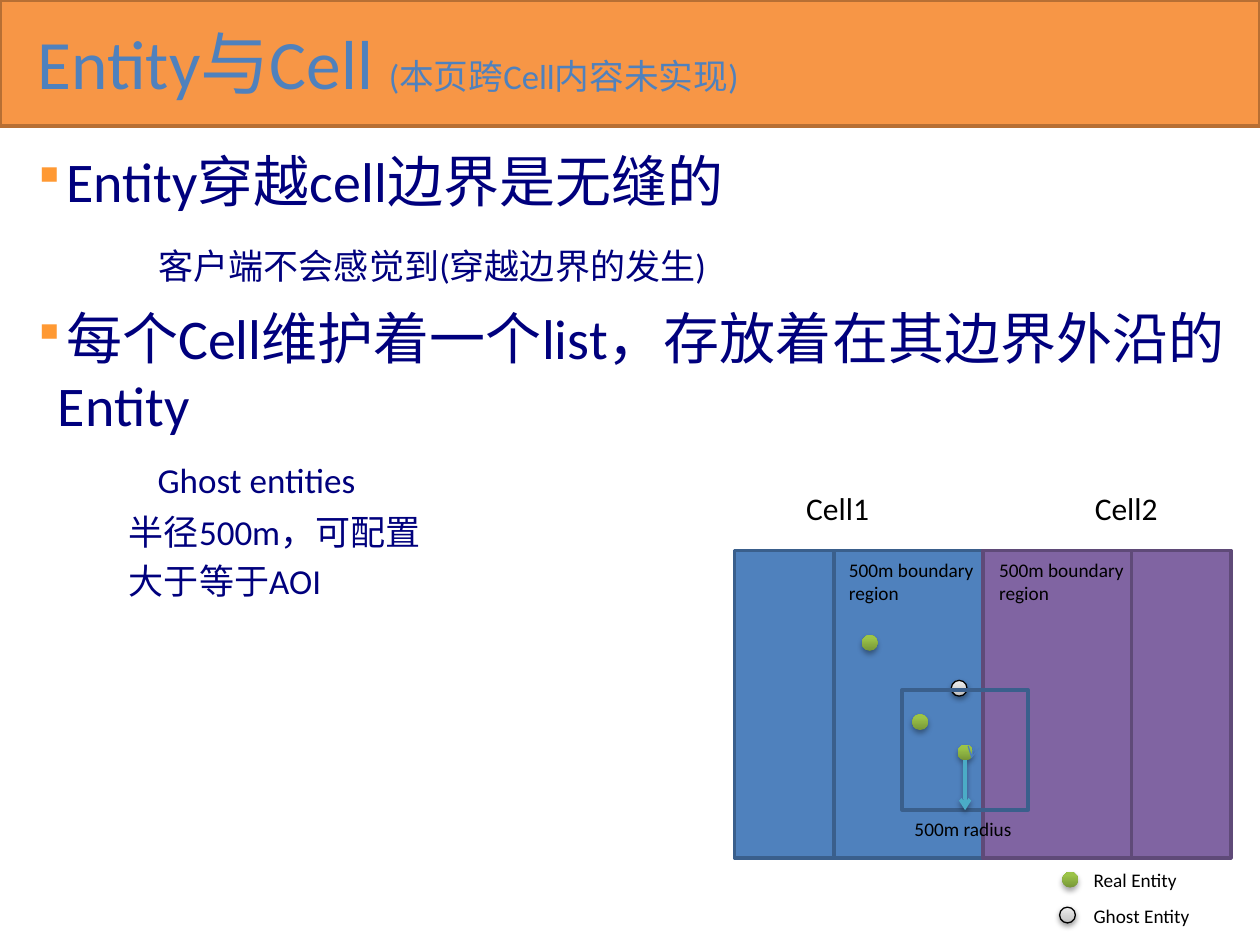
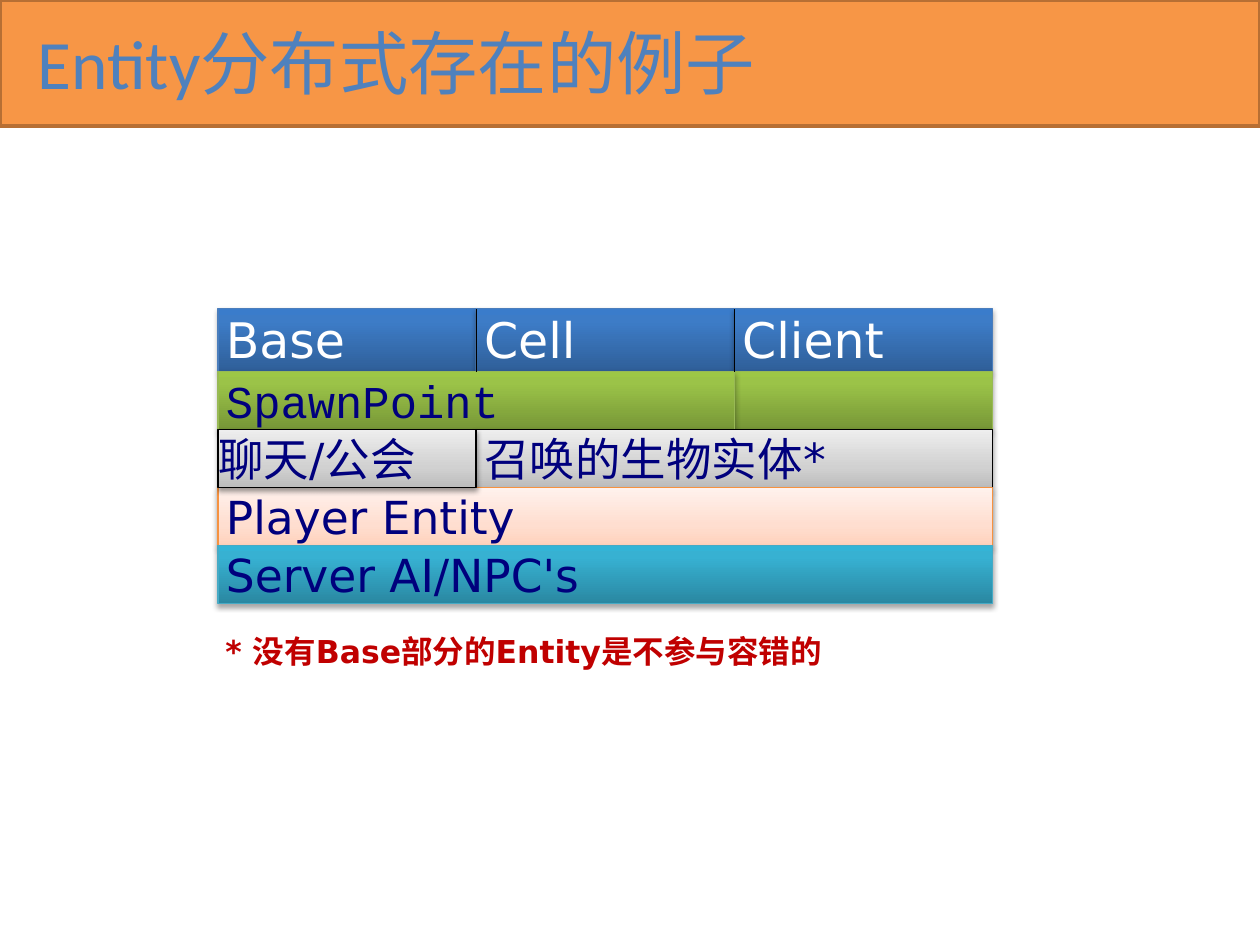
from dataclasses import dataclass
from typing import Optional

from lxml.etree import SubElement
from pptx import Presentation
from pptx.dml.color import RGBColor
from pptx.enum.shapes import MSO_CONNECTOR as Connector, MSO_SHAPE as Shape
from pptx.enum.text import MSO_ANCHOR as Anchor, MSO_AUTO_SIZE as AutoSize, PP_ALIGN as Align
from pptx.oxml.ns import qn
from pptx.util import Pt

ORANGE = RGBColor(0xF7, 0x96, 0x46)
ORANGE_EDGE = RGBColor(0xB7, 0x6F, 0x34)
BULLET_ORANGE = RGBColor(0xFF, 0x99, 0x33)
BLUE = RGBColor(0x4F, 0x81, 0xBD)
BLUE_EDGE = RGBColor(0x3A, 0x5F, 0x8C)
BLUE_LINE = RGBColor(0x4B, 0x7E, 0xBC)
PURPLE = RGBColor(0x80, 0x64, 0xA2)
PURPLE_EDGE = RGBColor(0x5F, 0x4A, 0x78)
TEAL = RGBColor(0x4B, 0xAC, 0xC6)
TEAL_EDGE = RGBColor(0x46, 0xAA, 0xC5)
GREEN_EDGE = RGBColor(0x98, 0xB9, 0x55)
PEACH_EDGE = RGBColor(0xF6, 0x92, 0x40)
NAVY = RGBColor(0x00, 0x00, 0x7D)
RED = RGBColor(0xC0, 0x00, 0x00)
BLACK = RGBColor(0, 0, 0)
WHITE = RGBColor(0xFF, 0xFF, 0xFF)

BODY_FONT = "Calibri"
TABLE_FONT = "DejaVu Sans"
CODE_FONT = "Courier New"


@dataclass(frozen=True)
class Shadow:
    alpha: int
    distance: float


STRONG = Shadow(35, 1.8)
SOFT = Shadow(38, 1.6)


@dataclass(frozen=True)
class Gradient:
    stops: tuple
    edge: Optional[RGBColor]
    shadow: Shadow


BLUE_ROW = Gradient(((0, "2F5F99"), (80, "3D7CC7"), (100, "3A7CCB")), BLUE_LINE, STRONG)
GREEN_STOPS = ((0, "779737"), (80, "9BC348"), (100, "9DC746"))
GREEN_ROW = Gradient(GREEN_STOPS, GREEN_EDGE, STRONG)
REAL = Gradient(GREEN_STOPS, None, STRONG)
GREY = Gradient(((0, "BDBDBD"), (35, "D1D1D1"), (100, "EEEEEE")), BLACK, SOFT)
PEACH_ROW = Gradient(((0, "FFD2BD"), (35, "FFDED0"), (100, "FFF2ED")), PEACH_EDGE, SOFT)
TEAL_ROW = Gradient(((0, "2A88A2"), (80, "37B1D2"), (100, "34B4D6")), TEAL_EDGE, STRONG)


@dataclass(frozen=True)
class Point:
    text: str
    size: float
    before: float
    indent: float
    bullet: bool = False


@dataclass(frozen=True)
class Zone:
    left: float
    width: float
    fill: RGBColor
    edge: RGBColor


@dataclass(frozen=True)
class Cell:
    row: int
    column: int
    span: int
    style: Gradient
    text: str = ""
    font: str = TABLE_FONT
    inset: float = 4.5


POINTS = [
    Point("Entity穿越cell边界是无缝的", 32, 0, 14.4, True),
    Point("客户端不会感觉到(穿越边界的发生)", 20, 17.8, 72),
    Point("每个Cell维护着一个list，存放着在其边界外沿的Entity", 32, 9.5, 14.4, True),
    Point("Ghost entities", 20, 11.7, 71.4),
    Point("半径500m，可配置", 20, 6.1, 55),
    Point("大于等于AOI", 20, 4, 55),
]

MAP_TOP, MAP_HEIGHT = 314.6, 175.7
BORDER_X = 561.6
CELL_WIDTH, REGION_WIDTH = 141.8, 85
ZONES = [
    Zone(BORDER_X - CELL_WIDTH, CELL_WIDTH, BLUE, BLUE_EDGE),
    Zone(BORDER_X - REGION_WIDTH, REGION_WIDTH, BLUE, BLUE_EDGE),
    Zone(BORDER_X, CELL_WIDTH, PURPLE, PURPLE_EDGE),
    Zone(BORDER_X, REGION_WIDTH, PURPLE, PURPLE_EDGE),
]
ENTITIES = [
    (521.3, 408.2, REAL), (547.2, 425.5, REAL), (492.5, 362.9, REAL),
    (607, 498.2, REAL), (605.5, 518.4, GREY), (543.6, 388.8, GREY),
]
LABELS = [
    ("Cell1", 453.6, 275.8, 54, 18),
    ("Cell2", 618.5, 275.8, 54, 18),
    ("500m radius", 515.5, 463.7, 88, 11),
    ("Real Entity", 617.8, 492.5, 94, 11),
    ("Ghost Entity", 617.8, 513.4, 94, 11),
    ("500m boundary region", 478, 315.4, 87, 11),
    ("500m boundary region", 563.8, 315.4, 87, 11),
]

TABLE_LEFT, TABLE_TOP = 124.6, 176.4
COLUMN_WIDTH, HEADER_HEIGHT, ROW_HEIGHT = 147.5, 35.9, 33.1
CELLS = [
    *(Cell(0, column, 1, BLUE_ROW, name) for column, name in enumerate(("Base", "Cell", "Client"))),
    Cell(1, 2, 1, GREEN_ROW),
    Cell(1, 0, 2, GREEN_ROW, "SpawnPoint", CODE_FONT),
    Cell(2, 1, 2, GREY, "召唤的生物实体*"),
    Cell(3, 0, 3, PEACH_ROW, "Player Entity"),
    Cell(4, 0, 3, TEAL_ROW, "Server AI/NPC's"),
    Cell(2, 0, 1, GREY, "聊天/公会", inset=0),
]


def add_text(paragraph, text: str, *, size: float, color: RGBColor = BLACK,
             font: str = BODY_FONT, bold: bool = False) -> None:
    run = paragraph.add_run()
    run.text = text
    run.font.size = Pt(size)
    run.font.name = font
    run.font.bold = bold
    run.font.color.rgb = color


def set_shadow(properties, shadow: Optional[Shadow]) -> None:
    effects = properties.find(qn("a:effectLst"))
    if effects is None:
        effects = SubElement(properties, qn("a:effectLst"))
    if shadow:
        outer = SubElement(effects, qn("a:outerShdw"), blurRad=str(Pt(3.1)),
                           dist=str(Pt(shadow.distance)), dir="5400000", rotWithShape="0")
        color = SubElement(outer, qn("a:srgbClr"), val="000000")
        SubElement(color, qn("a:alpha"), val=str(shadow.alpha * 1000))


def add_block(slide, kind: Shape, left: float, top: float, width: float, height: float, *,
              fill: Optional[RGBColor] = None, edge: Optional[RGBColor] = None,
              weight: float = 2, style: Optional[Gradient] = None):
    block = slide.shapes.add_shape(kind, Pt(left), Pt(top), Pt(width), Pt(height))
    block.shadow.inherit = False
    if style:
        edge, weight = style.edge, 0.75
        block.fill.gradient()
        block.fill.gradient_angle = 90
        stops = block.element.spPr.find(".//" + qn("a:gsLst"))
        stops.clear()
        for position, color in style.stops:
            stop = SubElement(stops, qn("a:gs"), pos=str(position * 1000))
            SubElement(stop, qn("a:srgbClr"), val=color)
        set_shadow(block.element.spPr, style.shadow)
    elif fill is not None:
        block.fill.solid()
        block.fill.fore_color.rgb = fill
    else:
        block.fill.background()
    if edge is None:
        block.line.fill.background()
    else:
        block.line.color.rgb = edge
        block.line.width = Pt(weight)
    return block


def add_line(slide, start: tuple, end: tuple, color: RGBColor, weight: float = 0.75, *,
             arrow: bool = False, shadow: Optional[Shadow] = None) -> None:
    line = slide.shapes.add_connector(Connector.STRAIGHT, *(Pt(value) for value in start + end))
    line.line.color.rgb = color
    line.line.width = Pt(weight)
    properties = line.element.spPr
    if arrow:
        SubElement(properties.find(qn("a:ln")), qn("a:tailEnd"), type="arrow")
    set_shadow(properties, shadow)


def add_box(slide, left: float, top: float, width: float, height: float):
    frame = slide.shapes.add_textbox(Pt(left), Pt(top), Pt(width), Pt(height)).text_frame
    frame.word_wrap = True
    return frame


def add_titled_slide(deck, title: str, note: str = ""):
    slide = deck.slides.add_slide(deck.slide_layouts[5])
    band = add_block(slide, Shape.RECTANGLE, 0, 0, 720, 72, fill=ORANGE, edge=ORANGE_EDGE)
    slide.shapes.element.insert(2, band.element)
    heading = slide.shapes.title
    heading.left, heading.top, heading.width, heading.height = Pt(14.4), Pt(10), Pt(697), Pt(51)
    frame = heading.text_frame
    frame.auto_size = AutoSize.NONE
    frame.vertical_anchor = Anchor.MIDDLE
    paragraph = frame.paragraphs[0]
    paragraph.alignment = Align.LEFT
    add_text(paragraph, title, size=39.6, color=BLUE)
    if note:
        add_text(paragraph, note, size=19.8, color=BLUE)
    return slide


def add_points(slide) -> None:
    frame = add_box(slide, 14.4, 82.8, 689, 428.4)
    frame.margin_left, frame.margin_top, frame.margin_right = Pt(4.3), Pt(0.7), Pt(2.9)
    for index, point in enumerate(POINTS):
        paragraph = frame.add_paragraph() if index else frame.paragraphs[0]
        paragraph.space_before = Pt(point.before)
        add_text(paragraph, point.text, size=point.size, color=NAVY)
        properties = paragraph._p.get_or_add_pPr()
        properties.set("marL", str(Pt(point.indent)))
        if point.bullet:
            properties.set("indent", str(-Pt(point.indent)))
            color = SubElement(properties, qn("a:buClr"))
            SubElement(color, qn("a:srgbClr"), val=str(BULLET_ORANGE))
            SubElement(properties, qn("a:buSzPct"), val="80000")
            SubElement(properties, qn("a:buChar"), char="▪")


def build_cell_slide(deck) -> None:
    slide = add_titled_slide(deck, "Entity与Cell ", "(本页跨Cell内容未实现)")
    add_points(slide)
    for zone in ZONES:
        add_block(slide, Shape.FLOWCHART_PROCESS, zone.left, MAP_TOP, zone.width, MAP_HEIGHT,
                  fill=zone.fill, edge=zone.edge)
    for left, top, style in ENTITIES:
        add_block(slide, Shape.FLOWCHART_CONNECTOR, left, top, 9, 9, style=style)
    add_block(slide, Shape.FLOWCHART_PROCESS, 515.5, 394.2, 72, 68.6, edge=BLUE_EDGE)
    add_line(slide, (555.8, 429.8), (555.1, 433.4), BLUE_LINE, arrow=True)
    add_line(slide, (551.5, 434.2), (551.5, 463), TEAL, 2, arrow=True, shadow=SOFT)
    for text, left, top, width, size in LABELS:
        frame = add_box(slide, left, top, width, size * 1.22 + 7.2)
        add_text(frame.paragraphs[0], text, size=size)


def add_cell(slide, cell: Cell) -> None:
    header = cell.row == 0
    top = TABLE_TOP if header else TABLE_TOP + HEADER_HEIGHT + (cell.row - 1) * ROW_HEIGHT
    block = add_block(slide, Shape.RECTANGLE, TABLE_LEFT + cell.column * COLUMN_WIDTH, top,
                      cell.span * COLUMN_WIDTH, HEADER_HEIGHT if header else ROW_HEIGHT,
                      style=cell.style)
    if cell.text:
        frame = block.text_frame
        frame.vertical_anchor = Anchor.TOP
        frame.margin_left, frame.margin_right = Pt(cell.inset), Pt(0)
        frame.margin_top = frame.margin_bottom = Pt(0.7)
        paragraph = frame.paragraphs[0]
        paragraph.alignment = Align.LEFT
        add_text(paragraph, cell.text, size=28 if header else 26,
                 color=WHITE if header else NAVY, font=cell.font)


def build_example_slide(deck) -> None:
    slide = add_titled_slide(deck, "Entity分布式存在的例子")
    for cell in CELLS:
        add_cell(slide, cell)
    for column in (1, 2):
        x = TABLE_LEFT + column * COLUMN_WIDTH
        add_line(slide, (x, TABLE_TOP + HEADER_HEIGHT), (x, TABLE_TOP), BLACK)
    footnote = add_box(slide, 121.7, 357.8, 519, 29)
    add_text(footnote.paragraphs[0], "* 没有Base部分的Entity是不参与容错的",
             size=18, color=RED, font=TABLE_FONT, bold=True)


def main() -> None:
    deck = Presentation()
    deck.slide_width, deck.slide_height = Pt(720), Pt(540)
    build_cell_slide(deck)
    build_example_slide(deck)
    deck.save("out.pptx")


if __name__ == "__main__":
    main()
